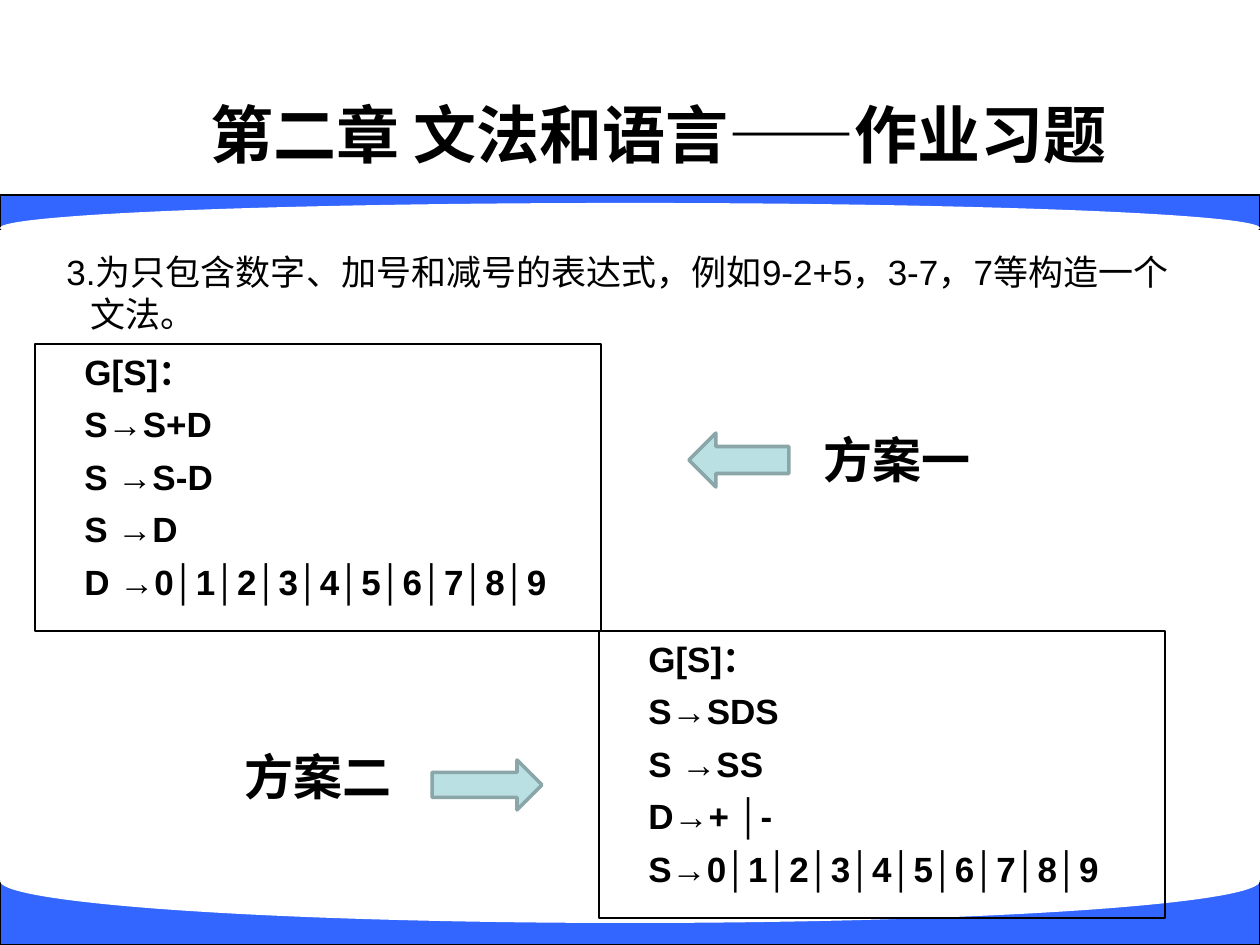
"""Builds a slide of grammar exercises with two candidate solutions."""
from pptx import Presentation
from pptx.dml.color import RGBColor
from pptx.enum.shapes import MSO_SHAPE as Shape
from pptx.enum.text import MSO_ANCHOR as Anchor, MSO_AUTO_SIZE as AutoSize, PP_ALIGN as Align
from pptx.util import Emu, Pt

COLORS = {"ink": "000000", "band": "3366FF", "paper": "FFFFFF", "arrow": "BBE0E3", "edge": "8AA6A8"}
DIGITS = "│".join("0123456789")


class SlideBuilder:
    """Holds the style and the current slide."""

    font_name = "Arial"
    scale = 914400 / 126

    def __init__(self, deck):
        deck.slide_width, deck.slide_height = self.emu(1260), self.emu(945)
        self.slide = deck.slides.add_slide(deck.slide_layouts[5])

    def emu(self, px):
        return Emu(round(px * self.scale))

    def color(self, name):
        return RGBColor.from_string(COLORS[name])

    def place(self, *at):
        return [self.emu(px) for px in at]

    def fill_text(self, box, lines, size, bold=True, align=Align.LEFT, margin=0, indent=0, gap=0, **frame_format):
        frame = box.text_frame
        for name, value in {"word_wrap": True, "vertical_anchor": Anchor.TOP, **frame_format}.items():
            setattr(frame, name, value)
        font_format = {"name": self.font_name, "size": Pt(size), "bold": bold}
        for index, line in enumerate(lines):
            para = frame.add_paragraph() if index else frame.paragraphs[0]
            para.alignment = align
            para.space_before = Pt(gap if index else 0)
            properties = para._p.get_or_add_pPr()
            properties.set("marL", str(self.emu(margin)))
            properties.set("indent", str(self.emu(indent)))
            span = para.add_run()
            span.text = line
            for name, value in font_format.items():
                setattr(span.font, name, value)
            span.font.color.rgb = self.color("ink")

    def title(self, text, at):
        box = self.slide.shapes.title
        for name, value in zip(("left", "top", "width", "height"), self.place(*at)):
            setattr(box, name, value)
        self.fill_text(box, [text], 36, align=Align.CENTER, vertical_anchor=Anchor.MIDDLE, auto_size=AutoSize.NONE)

    def text(self, lines, at, size, **text_format):
        box = self.slide.shapes.add_textbox(*self.place(*at))
        self.fill_text(box, lines, size, **text_format)

    def shape(self, kind, at, fill=None, line=None, weight=0.75):
        box = self.slide.shapes.add_shape(kind, *self.place(*at))
        box.shadow.inherit = False
        if fill:
            box.fill.solid()
            box.fill.fore_color.rgb = self.color(fill)
        else:
            box.fill.background()
        if line:
            box.line.color.rgb = self.color(line)
            box.line.width = Pt(weight)
        else:
            box.line.fill.background()
        return box

    def band(self, top, height, curve_top, curve_height):
        self.shape(Shape.RECTANGLE, (0, top, 1260, height), "band", "ink")
        self.shape(Shape.OVAL, (0, curve_top, 1260, curve_height), "paper")

    def grammar(self, rules, left, top):
        box = self.shape(Shape.RECTANGLE, (left, top, 566, 287), line="ink")
        self.fill_text(box, ["G[S]：", *rules], 20, indent=37, gap=6)

    def label(self, text, at):
        self.text([text], at, 28, word_wrap=False, auto_size=AutoSize.SHAPE_TO_FIT_TEXT)

    def arrow(self, kind, at):
        self.shape(kind, at, "arrow", "edge", 2)


def main():
    deck = Presentation()
    page = SlideBuilder(deck)
    page.band(195, 34, 203, 50)
    page.band(881, 64, 839, 84)
    page.text(["3.为只包含数字、加号和减号的表达式，例如9-2+5，3-7，7等构造一个文法。"],
              (54, 244, 1142, 110), 20, bold=False, margin=24, indent=-24)
    page.title("第二章 文法和语言——作业习题", (123, 91, 1071, 84))
    page.grammar(["S→S+D", "S →S-D", "S →D", f"D →{DIGITS}"], 35, 344)
    page.grammar(["S→SDS", "S →SS", "D→+ │-", f"S→{DIGITS}"], 599, 631)
    page.label("方案一", (811, 423, 174, 72))
    page.label("方案二", (232, 740, 175, 72))
    page.arrow(Shape.RIGHT_ARROW, (432, 760, 110, 50))
    page.arrow(Shape.LEFT_ARROW, (689, 433, 100, 54))
    deck.save("out.pptx")


if __name__ == "__main__":
    main()
